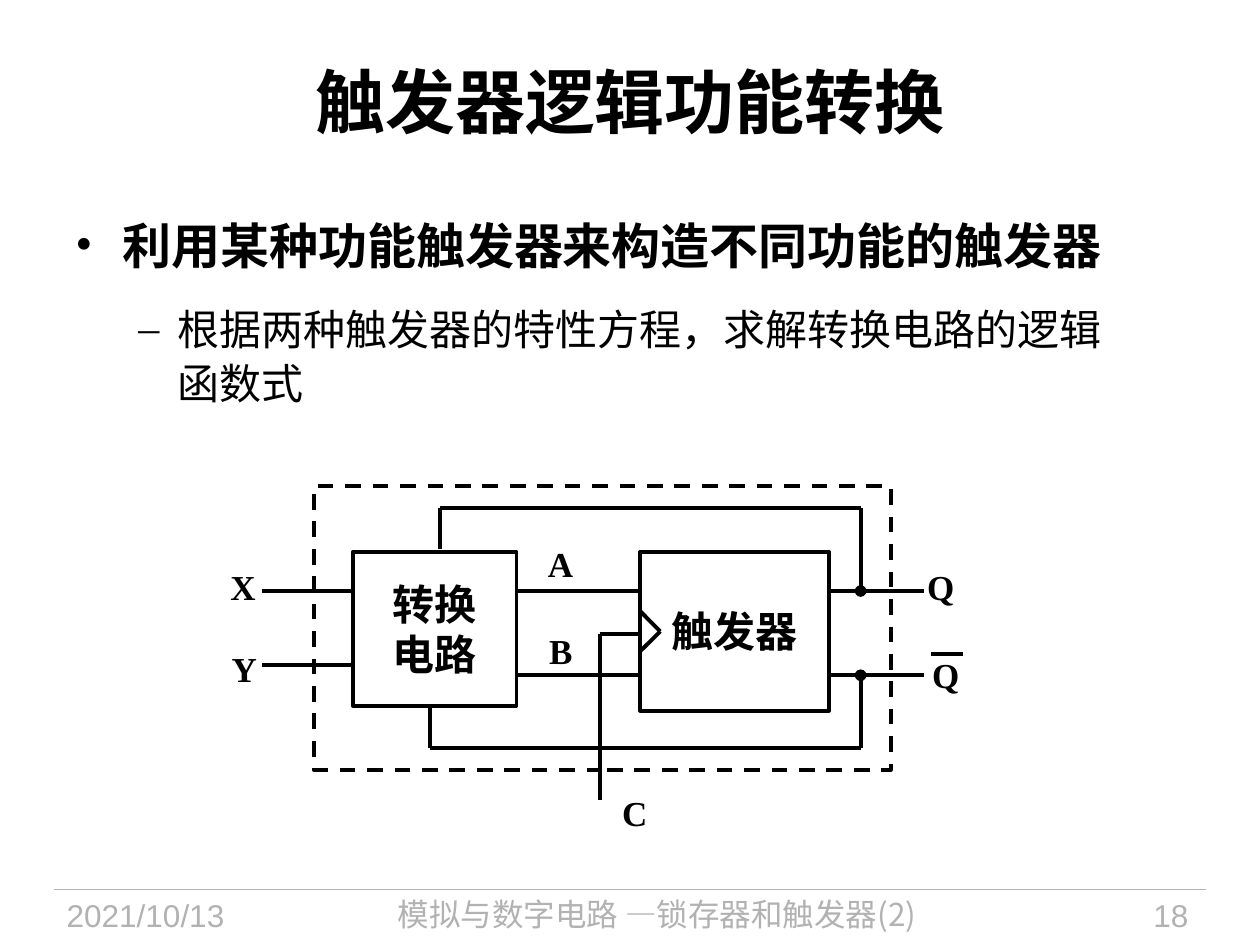
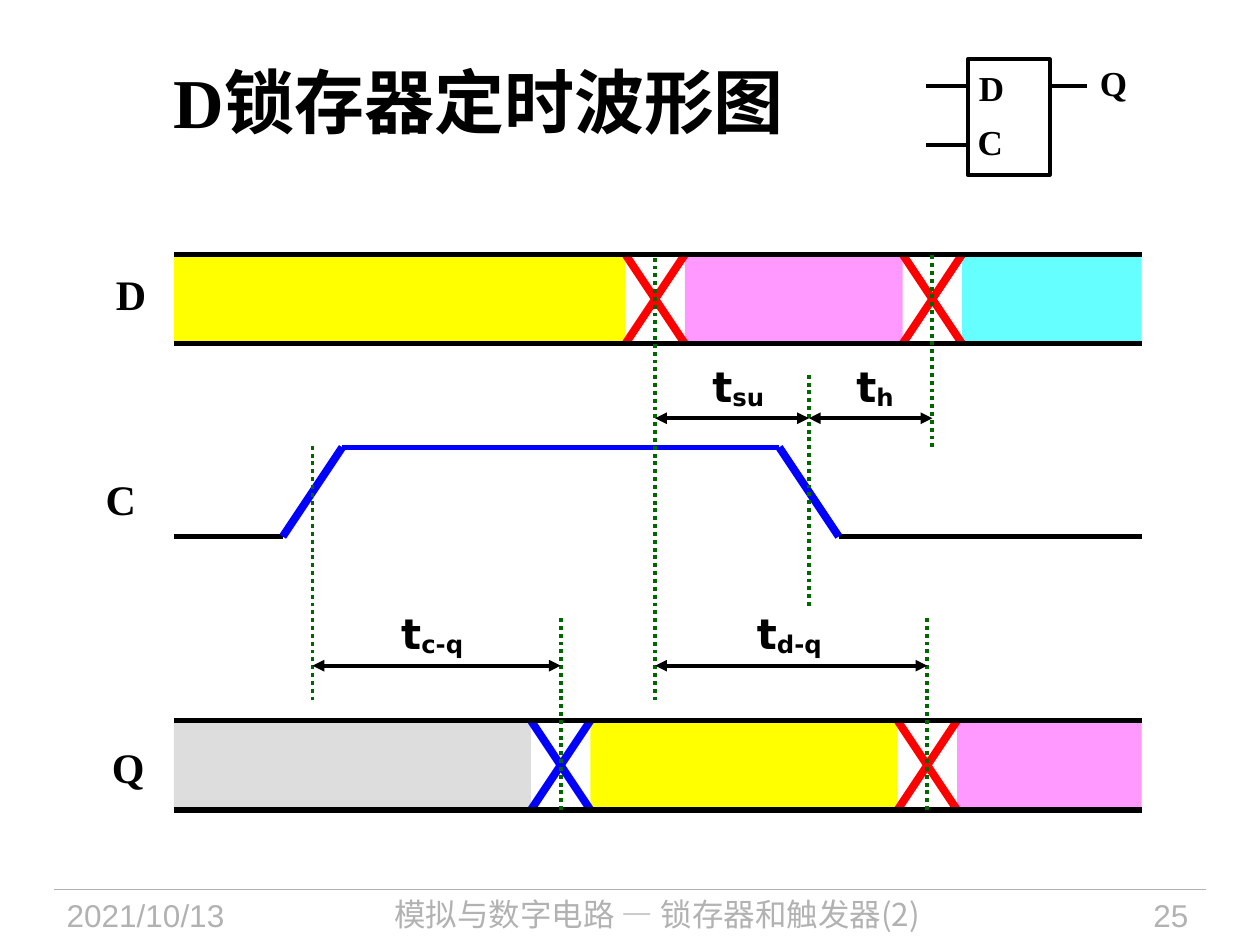
import itertools

import pptx
import pptx.dml.color
import pptx.enum.dml
import pptx.enum.shapes
import pptx.enum.text
import pptx.oxml.ns
import pptx.util
from lxml import etree

Pt = pptx.util.Pt
RGBColor = pptx.dml.color.RGBColor
PP_ALIGN = pptx.enum.text.PP_ALIGN
DASH = pptx.enum.dml.MSO_LINE

BLACK = RGBColor(0, 0, 0)
WHITE = RGBColor(255, 255, 255)
GREY = RGBColor(0xB2, 0xB2, 0xB2)
SILVER = RGBColor(0xDD, 0xDD, 0xDD)
RED = RGBColor(255, 0, 0)
BLUE = RGBColor(0, 0, 255)
GREEN = RGBColor(0, 0x66, 0)
YELLOW = RGBColor(255, 255, 0)
PINK = RGBColor(255, 0x99, 255)
CYAN = RGBColor(0x66, 255, 255)

SERIF = "Times New Roman"
SANS = "Arial"
CHINESE = "Noto Sans CJK SC"
SYMBOL = "DejaVu Sans"
HALF_EDGE = 17


def add_tag(parent, tag, **attributes):
    """Append a DrawingML element to a parent."""
    return etree.SubElement(parent, pptx.oxml.ns.qn(tag), **attributes)


def style_runs(paragraph, size, font=SERIF, color=BLACK, bold=True):
    """Give every run of a paragraph its font, size and colour."""
    for run in paragraph.runs:
        run.font.size = Pt(size)
        run.font.bold = bold
        run.font.color.rgb = color
        run.font.name = font
        add_tag(run._r.get_or_add_rPr(), "a:ea", typeface=CHINESE)


def add_text(slide, text, left, top, width, height, size, align=PP_ALIGN.LEFT,
             wrap=False, spacing=None, **style):
    """Place a text box with one paragraph and return the paragraph."""
    frame = slide.shapes.add_textbox(Pt(left), Pt(top), Pt(width), Pt(height)).text_frame
    frame.word_wrap = wrap
    frame.text = text
    paragraph = frame.paragraphs[0]
    paragraph.alignment = align
    if spacing:
        paragraph.line_spacing = Pt(spacing)
    style_runs(paragraph, size, **style)
    return paragraph


def add_line(slide, start, end, color=BLACK, weight=2.25, dash=None, head=None, tail=None):
    """Draw a straight line between two points."""
    line = slide.shapes.add_connector(
        pptx.enum.shapes.MSO_CONNECTOR.STRAIGHT, *(Pt(v) for v in (*start, *end)))
    line.line.color.rgb = color
    line.line.width = Pt(weight)
    if dash:
        line.line.dash_style = dash
    outline = line.line._get_or_add_ln()
    for tag, kind in (("a:headEnd", head), ("a:tailEnd", tail)):
        if kind:
            add_tag(outline, tag, type=kind)
    add_tag(line._element.spPr, "a:effectLst")


def add_path(slide, left, top, points, **style):
    """Join successive points with lines, relative to a corner."""
    placed = [(left + x, top + y) for x, y in points]
    for start, end in itertools.pairwise(placed):
        add_line(slide, start, end, **style)


def add_rect(slide, left, top, width, height, fill=None, outlined=True, dash=None, text=""):
    """Draw a rectangle with optional fill, outline and centred text."""
    rect = slide.shapes.add_shape(
        pptx.enum.shapes.MSO_SHAPE.RECTANGLE, Pt(left), Pt(top), Pt(width), Pt(height))
    rect.shadow.inherit = False
    if fill is None:
        rect.fill.background()
    else:
        rect.fill.solid()
        rect.fill.fore_color.rgb = fill
    if outlined:
        rect.line.color.rgb = BLACK
        rect.line.width = Pt(2.25)
        if dash:
            rect.line.dash_style = dash
    else:
        rect.line.fill.background()
    if text:
        rect.text_frame.word_wrap = False
        rect.text_frame.text = text
        for paragraph in rect.text_frame.paragraphs:
            paragraph.alignment = PP_ALIGN.CENTER
            paragraph.line_spacing = Pt(28.6)
            style_runs(paragraph, 24, font=SANS)


def add_labels(slide, left, top, labels, size):
    """Place signal names given as text, x, y and width from a corner."""
    for text, x, y, width in labels:
        add_text(slide, text, left + x, top + y, width, 1.5 * size, size)


def add_title(slide, text, align, indent=0):
    """Place and format the slide title."""
    title = slide.shapes.title
    title.left, title.top, title.width, title.height = Pt(36), Pt(12.2), Pt(648), Pt(90)
    frame = title.text_frame
    frame.text = text
    frame.auto_size = pptx.enum.text.MSO_AUTO_SIZE.NONE
    frame.vertical_anchor = pptx.enum.text.MSO_ANCHOR.MIDDLE
    paragraph = frame.paragraphs[0]
    paragraph.alignment = align
    paragraph._p.get_or_add_pPr().set("indent", str(Pt(indent)))
    style_runs(paragraph, 40)


def add_footer(slide, course, number):
    """Draw the footer rule with date, course name and slide number."""
    top = 508.3
    add_line(slide, (31, top), (689, top), GREY, 0.75)
    style = dict(color=GREY, bold=False, wrap=True)
    add_text(slide, "2021/10/13", 31, top, 135.4, 31.7, 18, font=SANS, **style)
    add_text(slide, course, 172.8, top, 405.4, 31.7, 18, PP_ALIGN.CENTER,
             font=CHINESE, spacing=21.5, **style)
    add_text(slide, number, 590.4, top, 95.8, 31.7, 18, PP_ALIGN.RIGHT, font=SANS, **style)


def add_outline(slide, left, top, width, height, items):
    """Write the bulleted outline text."""
    frame = slide.shapes.add_textbox(Pt(left), Pt(top), Pt(width), Pt(height)).text_frame
    frame.word_wrap = True
    frame.text = "\n".join(item[0] for item in items)
    for paragraph, item in zip(frame.paragraphs, items):
        _, bullet, margin, hanging, size, spacing, before, bold = item
        paragraph.line_spacing = Pt(spacing)
        if before:
            paragraph.space_before = Pt(before)
        properties = paragraph._p.get_or_add_pPr()
        properties.set("marL", str(Pt(margin)))
        properties.set("indent", str(Pt(-hanging)))
        add_tag(properties, "a:buFont", typeface=SERIF)
        add_tag(properties, "a:buChar", char=bullet)
        style_runs(paragraph, size, bold=bold)


def add_conversion_circuit(slide, left, top):
    """Draw the conversion circuit feeding a flip-flop, inside a dashed box."""
    add_rect(slide, left + 186.5, top + 37.5, 108, 90.7, text="触发器")
    wires = [
        [(114.5, 59.8), (186.5, 59.8)],
        [(114.5, 108), (186.5, 108)],
        [(294.5, 59.8), (348.5, 59.8)],
        [(294.5, 108), (348.5, 108)],
        [(-29.5, 59.8), (24.5, 59.8)],
        [(-29.5, 102.3), (24.5, 102.3)],
        [(312.5, 12.3), (72, 12.3), (72, 36)],
        [(312.5, 149.8), (66.2, 149.8), (66.2, 126)],
        [(186.5, 71.3), (198, 82.9), (186.5, 94.3)],
        [(186.5, 84.3), (163.4, 84.3), (163.4, 179.3)],
        [(352.8, 95.8), (370.8, 95.8)],
    ]
    for wire in wires:
        add_path(slide, left, top, wire)
    for tap, turn in ((59.8, 12.3), (108, 149.8)):
        add_path(slide, left, top, [(312.5, tap), (312.5, turn)], head="oval")
    add_rect(slide, left, top, 329.8, 162, dash=DASH.DASH)
    add_rect(slide, left + 22.3, top + 37.5, 93.6, 87.8, WHITE, text="转换\n电路")
    add_labels(slide, left, top, [
        ("X", -54.7, 41.8, 28.8), ("Y", -54, 88.6, 28.8), ("A", 126.7, 28.8, 28.8),
        ("B", 127.4, 78.5, 28.1), ("Q", 343.4, 41.8, 30.2), ("Q", 346.3, 92.2, 30.2),
        ("C", 169.2, 170.7, 28.8)], 20)


def add_bus(slide, left, top, width, colors, crossings):
    """Draw a bus whose coloured values change at the given crossings."""
    height = 51
    starts = [0] + [x + HALF_EDGE for x, _ in crossings]
    ends = [x - HALF_EDGE for x, _ in crossings] + [width]
    for color, start, end in zip(colors, starts, ends):
        add_rect(slide, left + start, top, end - start, height, color, outlined=False)
    for x, color in crossings:
        for first, last in ((0, height), (height, 0)):
            add_path(slide, left, top, [(x - HALF_EDGE, first), (x + HALF_EDGE, last)],
                     color=color, weight=4.5)
    for y in (0, height):
        add_path(slide, left, top, [(0, y), (width, y)], weight=3)


def add_clock(slide, left, top, width, rise, fall):
    """Draw the clock pulse between its rising and falling edge."""
    low = 51
    rise_start, rise_end = rise - HALF_EDGE, rise + HALF_EDGE
    fall_start, fall_end = fall - HALF_EDGE, fall + HALF_EDGE
    for points, color, weight in (
            ([(0, low), (rise_start, low)], BLACK, 3),
            ([(rise_end, 0), (fall_start, 0)], BLUE, 3),
            ([(fall_end, low), (width, low)], BLACK, 3),
            ([(rise_start, low), (rise_end, 0)], BLUE, 4.5),
            ([(fall_start, 0), (fall_end, low)], BLUE, 4.5)):
        add_path(slide, left, top, points, color=color, weight=weight)


def add_span(slide, left, top, start, end, subscript, center):
    """Draw a double arrow with its time symbol above."""
    add_path(slide, left, top, [(start, 0), (end, 0)], head="triangle", tail="triangle")
    paragraph = add_text(slide, "t", left + center - 27, top - 36.7, 54, 36, 24,
                         PP_ALIGN.CENTER, font=SYMBOL)
    paragraph.add_run().text = subscript
    style_runs(paragraph, 24, font=SYMBOL)
    paragraph.runs[1]._r.get_or_add_rPr().set("baseline", "-10000")


def add_waveforms(slide, left, top, width):
    """Draw the timing of D, C and Q with the delays between them."""
    rise, q_first, d_first, fall, q_second, d_second = 79.2, 221, 275, 362.9, 430.5, 433.4
    add_bus(slide, left, top, width, (YELLOW, PINK, CYAN), [(d_first, RED), (d_second, RED)])
    add_clock(slide, left, top + 110.2, width, rise, fall)
    add_bus(slide, left, top + 266.4, width, (SILVER, YELLOW, PINK),
            [(q_first, BLUE), (q_second, RED)])
    for x, upper, lower in (
            (d_first, 0, 254.9), (d_second, 0, 110.2), (fall, 67.7, 200.9),
            (rise, 107.3, 254.9), (q_first, 206.7, 317.5), (q_second, 206.7, 317.5)):
        add_path(slide, left, top, [(x, lower), (x, upper)], color=GREEN, dash=DASH.ROUND_DOT)
    for y, start, end, subscript, center in (
            (93.6, d_first, fall, "su", 322.5), (93.6, fall, d_second, "h", 400.6),
            (235, rise, q_first, "c-q", 147.6), (235, d_first, q_second, "d-q", 351.7)):
        add_span(slide, left, top + y, start, end, subscript, center)
    add_labels(slide, left, top, [
        ("D", -40.3, 4.3, 31.7), ("C", -46.1, 121.7, 31.7), ("Q", -42.5, 275, 33.1)], 24)


def add_latch_symbol(slide, left, top):
    """Draw the latch symbol with its inputs and output."""
    add_rect(slide, left, top, 46.8, 66.2)
    for start, end, y in ((-23.8, 0, 15.1), (-23.8, 0, 49), (46.8, 68.4, 15.1)):
        add_path(slide, left, top, [(start, y), (end, y)])
    add_labels(slide, left, top, [
        ("D", -0.7, 0.7, 28.8), ("C", -1.4, 31.7, 28.8), ("Q", 68.4, -2.2, 30.2)], 20)


def build_conversion_slide(slide):
    """Fill the slide on converting flip-flop functions."""
    add_title(slide, "触发器逻辑功能转换", PP_ALIGN.CENTER)
    add_outline(slide, 36, 114.5, 621.4, 128.2, [
        ("利用某种功能触发器来构造不同功能的触发器", "•", 27, 27, 28, 38.5, 0, True),
        ("根据两种触发器的特性方程，求解转换电路的逻辑函数式", "–", 58.5, 22.5, 24, 31.4, 14, False)])
    add_conversion_circuit(slide, 179.3, 277.9)
    add_footer(slide, "模拟与数字电路 —锁存器和触发器(2)", "18")


def build_timing_slide(slide):
    """Fill the slide on latch timing."""
    add_title(slide, "D锁存器定时波形图", PP_ALIGN.LEFT, 56.2)
    add_waveforms(slide, 99.4, 145.4, 553)
    add_latch_symbol(slide, 553, 33.8)
    add_footer(slide, "模拟与数字电路 — 锁存器和触发器(2)", "25")


def main():
    """Build and save the presentation."""
    deck = pptx.Presentation()
    deck.slide_width, deck.slide_height = Pt(720), Pt(540)
    title_only = deck.slide_layouts[5]
    for build in (build_conversion_slide, build_timing_slide):
        build(deck.slides.add_slide(title_only))
    deck.save("out.pptx")


if __name__ == "__main__":
    main()
